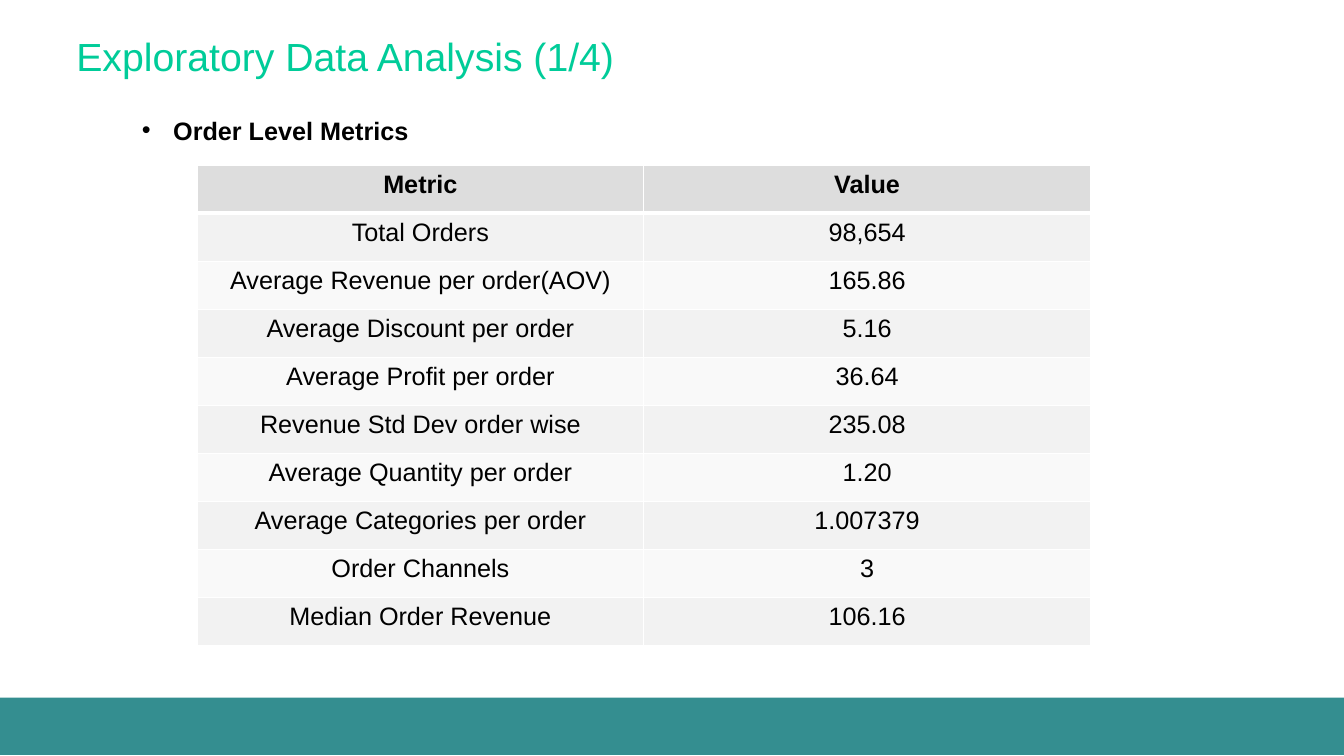
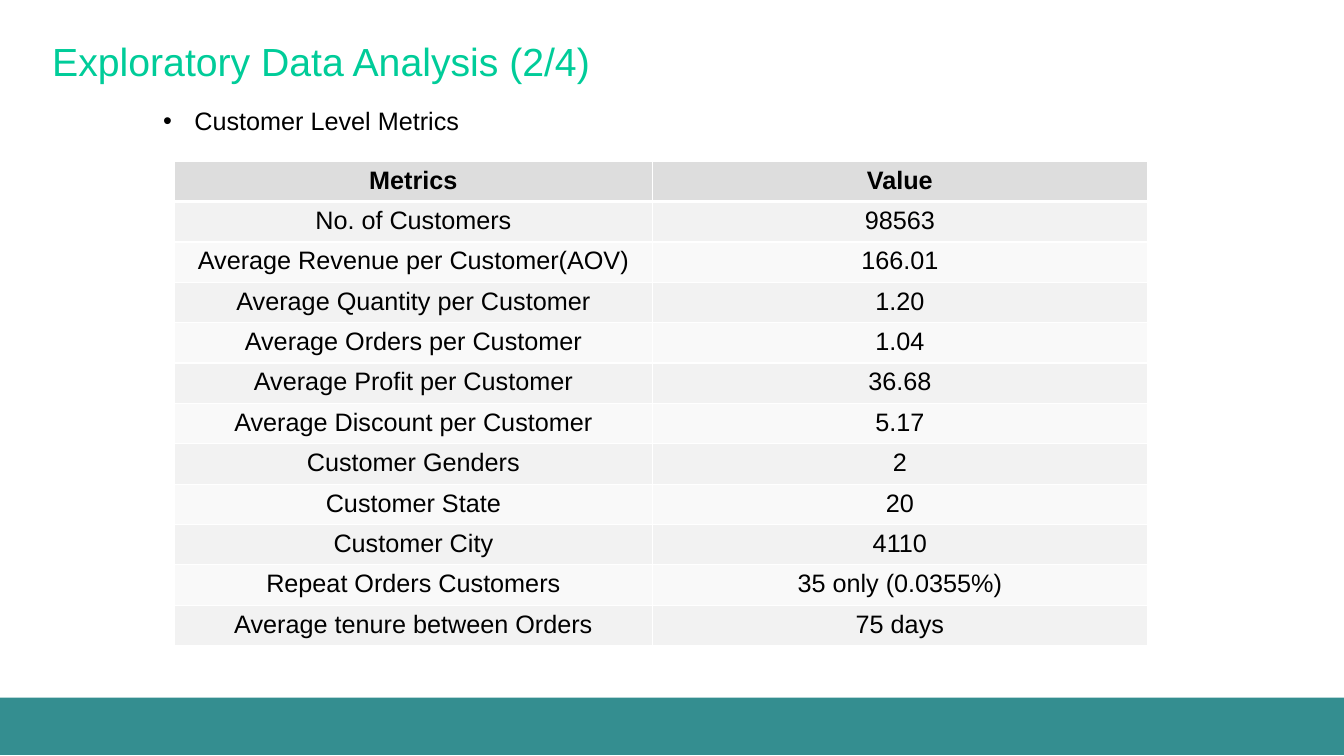
from lxml import etree
from pptx import Presentation
from pptx.dml.color import RGBColor
from pptx.enum.shapes import MSO_SHAPE
from pptx.enum.text import MSO_ANCHOR, PP_ALIGN
from pptx.oxml.ns import qn
from pptx.util import Inches, Pt

RECT = MSO_SHAPE.RECTANGLE
TOP = MSO_ANCHOR.TOP
LEFT, CENTER = PP_ALIGN.LEFT, PP_ALIGN.CENTER

FONT = "Arial"
GREEN = RGBColor(0x00, 0xCC, 0x99)
TEAL = RGBColor(0x34, 0x8E, 0x90)
BLACK = RGBColor(0x00, 0x00, 0x00)
WHITE = RGBColor(0xFF, 0xFF, 0xFF)
HEAD_FILL = RGBColor(0xDD, 0xDD, 0xDD)
BAND_FILLS = (RGBColor(0xF9, 0xF9, 0xF9), RGBColor(0xF2, 0xF2, 0xF2))

SLIDES = [
    {
        "title": "Exploratory Data Analysis (1/4)",
        "title_at": (0.66, 0.27, 10.17, 0.57),
        "heading": "Order Level Metrics",
        "heading_at": (1.31, 1.09, 9.4, 0.4),
        "heading_bold": True,
        "table_at": (1.96, 1.64),
        "columns": (4.42, 4.44),
        "row_height": 0.476,
        "rows": [
            ("Metric", "Value"),
            ("Total Orders", "98,654"),
            ("Average Revenue per order(AOV)", "165.86"),
            ("Average Discount per order", "5.16"),
            ("Average Profit per order", "36.64"),
            ("Revenue Std Dev order wise", "235.08"),
            ("Average Quantity per order", "1.20"),
            ("Average Categories per order", "1.007379"),
            ("Order Channels", "3"),
            ("Median Order Revenue", "106.16"),
        ],
    },
    {
        "title": "Exploratory Data Analysis (2/4)",
        "title_at": (0.42, 0.32, 10.66, 0.88),
        "heading": "Customer Level Metrics",
        "heading_at": (1.52, 1, 6.96, 0.4),
        "heading_bold": False,
        "table_at": (1.73, 1.6),
        "columns": (4.74, 4.91),
        "row_height": 0.4,
        "rows": [
            ("Metrics", "Value"),
            ("No. of Customers", "98563"),
            ("Average Revenue per Customer(AOV)", "166.01"),
            ("Average Quantity per Customer", "1.20"),
            ("Average Orders per Customer", "1.04"),
            ("Average Profit per Customer", "36.68"),
            ("Average Discount per Customer", "5.17"),
            ("Customer Genders", "2"),
            ("Customer State", "20"),
            ("Customer City", "4110"),
            ("Repeat Orders Customers", "35 only (0.0355%)"),
            ("Average tenure between Orders", "75 days"),
        ],
    },
]


def write(tf, text, size=18, color=BLACK, bold=False, align=LEFT, bullet=False):
    tf.word_wrap = True
    p = tf.paragraphs[0]
    p.alignment = align
    if bullet:
        pPr = p._p.get_or_add_pPr()
        pPr.set("marL", str(Inches(0.31)))
        pPr.set("indent", str(-Inches(0.31)))
        etree.SubElement(pPr, qn("a:buFont"), typeface=FONT)
        etree.SubElement(pPr, qn("a:buChar"), char="•")
    r = p.add_run()
    r.text = text
    r.font.name = FONT
    r.font.size = Pt(size)
    r.font.bold = bold
    r.font.color.rgb = color


def add_text(slide, at, text, **style):
    tf = slide.shapes.add_textbox(*map(Inches, at)).text_frame
    tf.vertical_anchor = TOP
    write(tf, text, **style)


def add_color(parent, color):
    fill = etree.SubElement(parent, qn("a:solidFill"))
    return etree.SubElement(fill, qn("a:srgbClr"), val=str(color))


def add_footer(slide):
    sp = slide.shapes.add_shape(RECT, 0, Inches(6.92), Inches(13.33), Inches(0.57))
    sp.fill.solid()
    sp.fill.fore_color.rgb = TEAL
    sp.line.fill.background()
    sp.shadow.inherit = False
    effects = sp._element.spPr.find(qn("a:effectLst"))
    shadow = etree.SubElement(effects, qn("a:outerShdw"), blurRad=str(Pt(4)),
                              dist=str(Pt(3)), dir="8100000", rotWithShape="0")
    etree.SubElement(add_color(shadow, BLACK), qn("a:alpha"), val="40000")


def set_borders(cell, **widths):
    tcPr = cell._tc.get_or_add_tcPr()
    for side in "LRTB":
        ln = etree.SubElement(tcPr, qn("a:ln" + side), w=str(Pt(widths.get(side, 1))))
        add_color(ln, WHITE)


def add_metrics(slide, at, columns, row_height, rows):
    size = sum(columns), row_height * len(rows)
    table = slide.shapes.add_table(len(rows), len(columns), *map(Inches, at + size)).table
    table.horz_banding = False
    for column, width in zip(table.columns, columns):
        column.width = Inches(width)
    for i, values in enumerate(rows):
        table.rows[i].height = Inches(row_height)
        for j, value in enumerate(values):
            cell = table.cell(i, j)
            set_borders(cell, T=3 if i == 1 else 1, B=3 if i == 0 else 1)
            cell.fill.solid()
            cell.fill.fore_color.rgb = BAND_FILLS[i % 2] if i else HEAD_FILL
            cell.vertical_anchor = TOP
            write(cell.text_frame, value, bold=i == 0, align=CENTER)


def main():
    prs = Presentation()
    prs.slide_width, prs.slide_height = Inches(13.33), Inches(7.5)
    for content in SLIDES:
        slide = prs.slides.add_slide(prs.slide_layouts[6])
        add_footer(slide)
        add_text(slide, content["title_at"], content["title"], size=28, color=GREEN)
        add_metrics(slide, content["table_at"], content["columns"],
                    content["row_height"], content["rows"])
        add_text(slide, content["heading_at"], content["heading"],
                 bold=content["heading_bold"], bullet=True)
    prs.save("out.pptx")


if __name__ == "__main__":
    main()
